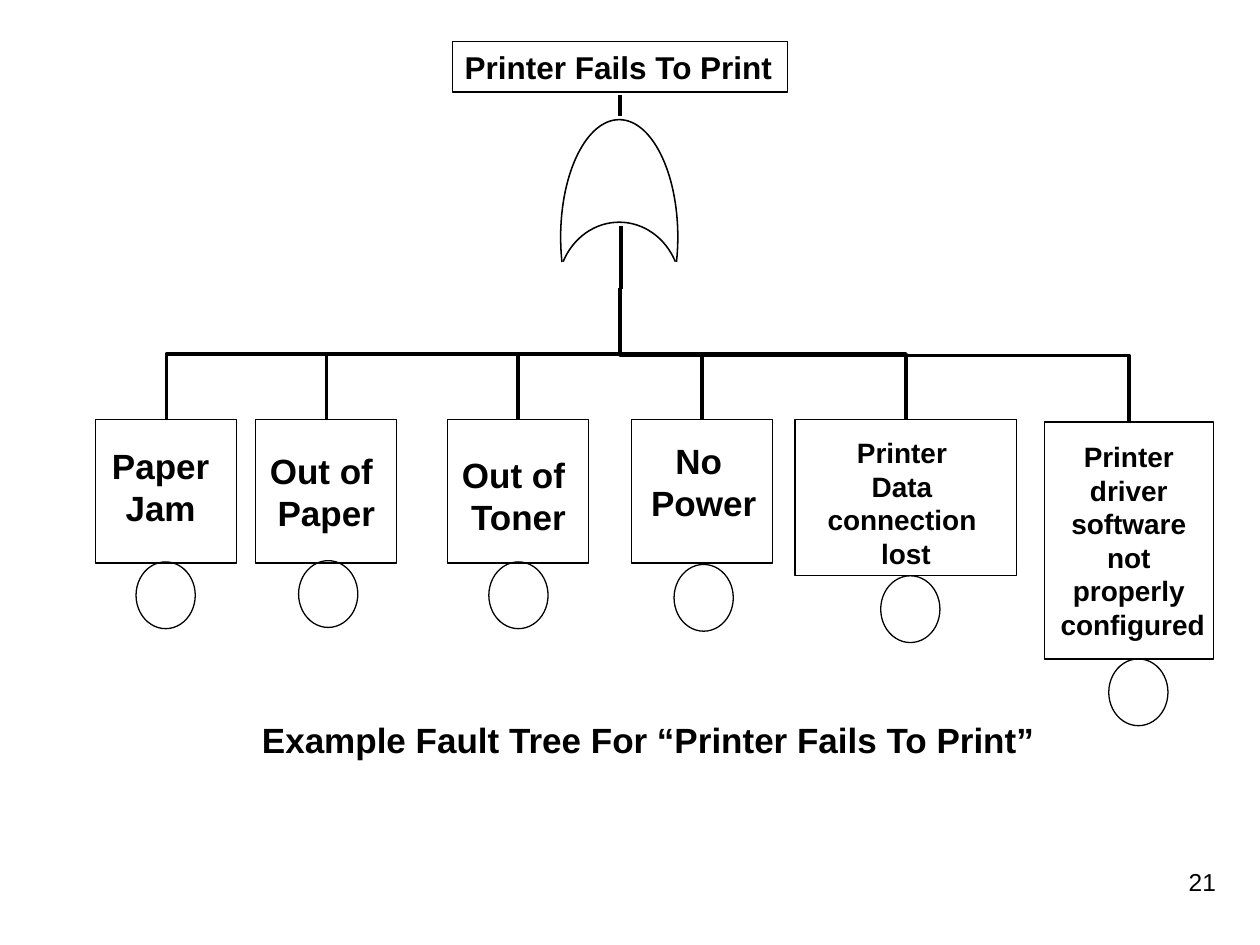
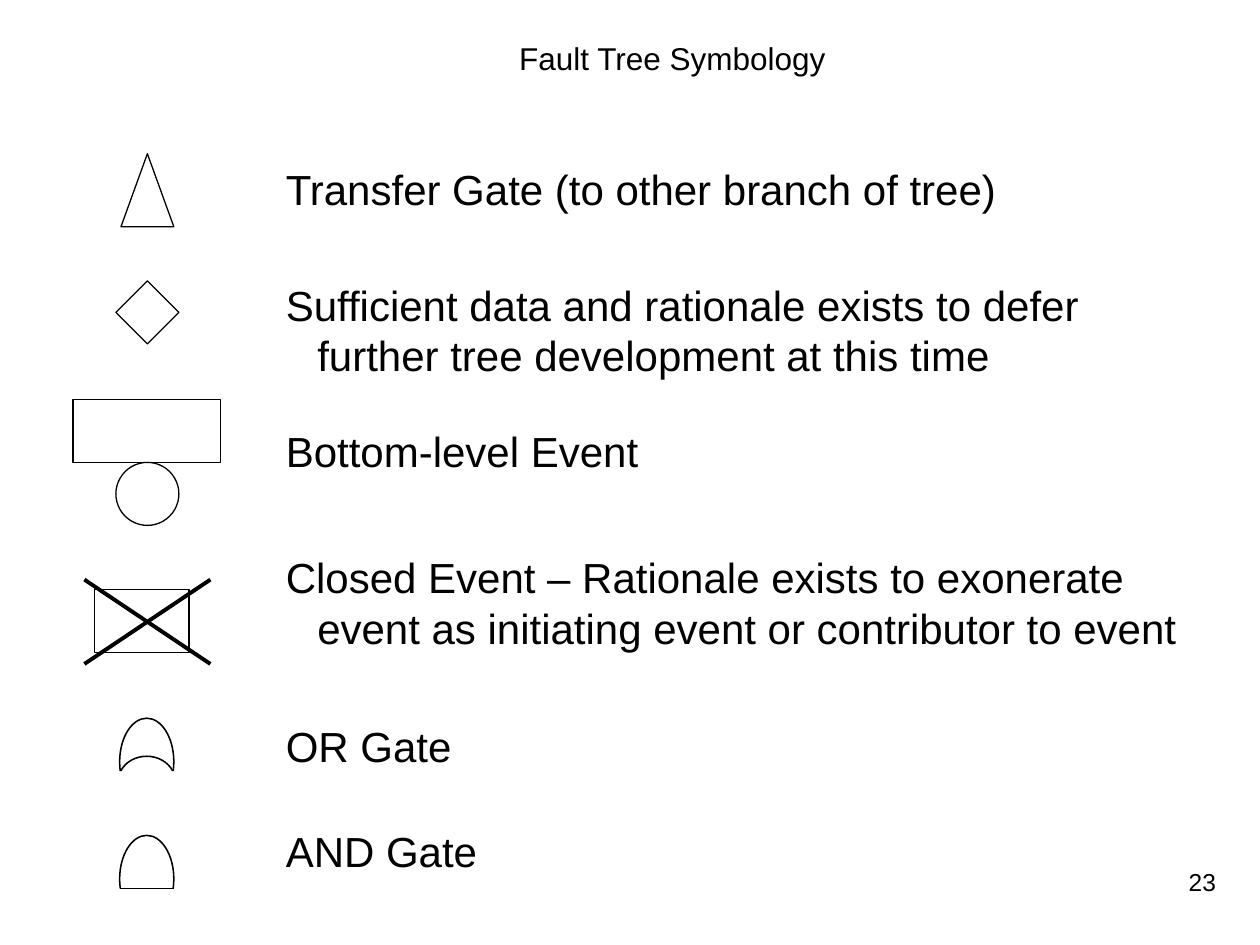
from itertools import pairwise
from math import asin, cos, pi, sin, tan

from lxml import etree
from pptx import Presentation
from pptx.dml.color import RGBColor
from pptx.enum.shapes import MSO_CONNECTOR, MSO_SHAPE
from pptx.enum.text import MSO_ANCHOR, MSO_AUTO_SIZE, PP_ALIGN
from pptx.oxml.ns import qn
from pptx.util import Inches, Pt

RECT, OVAL = MSO_SHAPE.RECTANGLE, MSO_SHAPE.OVAL
DIAMOND, TRIANGLE = MSO_SHAPE.DIAMOND, MSO_SHAPE.ISOSCELES_TRIANGLE
STRAIGHT, ELBOW = MSO_CONNECTOR.STRAIGHT, MSO_CONNECTOR.ELBOW
LEFT, CENTER, RIGHT = PP_ALIGN.LEFT, PP_ALIGN.CENTER, PP_ALIGN.RIGHT
MIDDLE, TOP = MSO_ANCHOR.MIDDLE, MSO_ANCHOR.TOP
GROW, FIXED = MSO_AUTO_SIZE.SHAPE_TO_FIT_TEXT, MSO_AUTO_SIZE.NONE

COLORS = {"ink": "000000", "paper": "FFFFFF"}
FONT = "Arial"
THIN, GATE_LINE, TREE_LINE, CROSS_LINE = 0.75, 0.88, 2, 2.25


# Shared helpers
def color(name):
    return RGBColor.from_string(COLORS[name])


def style_run(r, size, bold=False):
    for key, value in {"name": FONT, "size": Pt(size), "bold": bold}.items():
        setattr(r.font, key, value)
    r.font.color.rgb = color("ink")


def set_text(sp, lines, size, bold=False, align=LEFT, wrap=False,
             anchor=TOP, auto_size=GROW, hanging=0):
    tf = sp.text_frame
    frame = {"word_wrap": wrap, "vertical_anchor": anchor, "auto_size": auto_size}
    for key, value in frame.items():
        setattr(tf, key, value)
    for i, line in enumerate(lines):
        p = tf.add_paragraph() if i else tf.paragraphs[0]
        p.alignment = align
        if hanging:
            pPr = p._p.get_or_add_pPr()
            pPr.set("marL", str(Inches(hanging)))
            pPr.set("indent", str(-Inches(hanging)))
        r = p.add_run()
        r.text = line
        style_run(r, size, bold)


def add_text(s, box, lines, size, **fmt):
    sp = s.shapes.add_textbox(*map(Inches, box))
    set_text(sp, lines, size, **fmt)


def outline(sp, width):
    sp.shadow.inherit = False
    sp.fill.background()
    sp.line.color.rgb = color("ink")
    sp.line.width = Pt(width)


def add_outline(s, kind, box):
    sp = s.shapes.add_shape(kind, *map(Inches, box))
    outline(sp, THIN)
    return sp


def add_line(s, start, end, width, kind=STRAIGHT):
    c = s.shapes.add_connector(kind, *map(Inches, (*start, *end)))
    c.line.color.rgb = color("ink")
    c.line.width = Pt(width)
    etree.SubElement(c._element.spPr, qn("a:effectLst"))
    return c


def add_branch(s, start, end):
    """Elbow that leaves and arrives vertically: a turned bent connector."""
    (x1, y1), (x2, y2) = start, end
    cx, cy = (x1 + x2) / 2, (y1 + y2) / 2
    side = 1 if x1 < x2 else -1
    half_w, half_h = side * (y1 - y2) / 2, abs(x2 - x1) / 2
    c = add_line(s, (cx + half_w, cy + half_h), (cx - half_w, cy - half_h),
                 TREE_LINE, ELBOW)
    c._element.spPr.xfrm.set("rot", str((90 if side > 0 else 270) * 60000))


def add_arc(s, cx, cy, rx, ry, dip):
    """Upper half of an ellipse; its ends lie dip radians below the centre."""
    def at(a, pull=0):
        return (Inches(cx + rx * (cos(a) - pull * sin(a))),
                Inches(cy + ry * (sin(a) + pull * cos(a))))

    sides = [pi, 1.5 * pi, 2 * pi] if dip > 0 else [1.5 * pi]
    angles = [pi - dip, *sides, 2 * pi + dip]
    points = [at(a) for a in angles]
    builder = s.shapes.build_freeform(*points[0])
    builder.add_line_segments(points[1:], close=False)
    sp = builder.convert_to_shape()
    outline(sp, GATE_LINE)
    # Bend each straight segment into a cubic curve
    segments = list(sp._element.iter(qn("a:lnTo")))
    for segment, (a, b) in zip(segments, pairwise(angles)):
        segment.tag = qn("a:cubicBezTo")
        pull = 4 / 3 * tan((b - a) / 4)
        for i, (x, y) in enumerate((at(a, pull), at(b, -pull))):
            pt = etree.Element(qn("a:pt"), x=str(x - sp.left), y=str(y - sp.top))
            segment.insert(i, pt)


def add_gate(s, box, is_or):
    x, y, w, h = box
    cx, arch = x + w / 2, 0.825 * h
    add_arc(s, cx, y + arch, w / 2, arch, asin((h - arch) / arch))
    if is_or:
        add_arc(s, cx, y + 1.19 * h, 0.525 * w, 0.47 * h, -asin(0.41))
    else:
        add_line(s, (x, y + h), (x + w, y + h), THIN)


def new_slide(prs, layout, number):
    s = prs.slides.add_slide(prs.slide_layouts[layout])
    s.background.fill.solid()
    s.background.fill.fore_color.rgb = color("paper")
    add_text(s, (7.42, 6.83, 2.33, 0.52), [number], 14, align=RIGHT,
             wrap=True, auto_size=FIXED)
    return s


# Fault tree: event box, label box (None = inside the event), lines, size, circle
EVENTS = [
    ((0.76, 3.33, 1.12, 1.14), (0.68, 3.48, 1.19, 0.77), ["Paper Jam"], 20, (1.08, 4.46)),
    ((2.03, 3.33, 1.12, 1.14), None, ["Out of ", "Paper"], 20, (2.37, 4.45)),
    ((3.55, 3.33, 1.12, 1.14), (3.56, 3.55, 1.11, 0.77), ["Out of ", "Toner"], 20,
     (3.88, 4.46)),
    ((5.01, 3.33, 1.12, 1.14), (5.06, 3.44, 1.05, 0.77), ["No ", "Power"], 20,
     (5.35, 4.48)),
    ((6.31, 3.33, 1.76, 1.24), (6.46, 3.41, 1.46, 1.17),
     ["Printer ", "Data ", "connection ", "lost"], 16, (6.99, 4.57)),
    ((8.29, 3.35, 1.34, 1.88), (8.31, 3.44, 1.36, 1.7),
     ["Printer ", "driver ", "software ", "not ", "properly ", "configured"], 16,
     (8.8, 5.23)),
]


def add_event(s, box, label_box, lines, size, circle, trunk):
    sp = add_outline(s, RECT, box)
    fmt = {"bold": True, "align": CENTER}
    if label_box:
        add_text(s, label_box, lines, size, wrap=len(lines) == 1, **fmt)
    else:
        set_text(sp, lines, size, anchor=MIDDLE, auto_size=FIXED, **fmt)
    add_outline(s, OVAL, (*circle, 0.47, 0.53))
    x, y, w, _ = box
    add_branch(s, (x + w / 2, y), trunk)


def fault_tree_slide(prs):
    s = new_slide(prs, 6, "21")
    # Top event and its gate
    top = add_outline(s, RECT, (3.59, 0.33, 2.66, 0.4))
    set_text(top, ["Printer Fails To Print"], 18, bold=True)
    add_line(s, (4.92, 0.92), (4.92, 0.75), TREE_LINE)
    add_gate(s, (4.45, 0.95, 0.93, 1.13), True)
    add_line(s, (4.93, 2.29), (4.93, 1.79), TREE_LINE)
    # Causes
    for event in EVENTS:
        add_event(s, *event, trunk=(4.92, 2.29))
    add_text(s, (1.96, 5.65, 6.45, 0.44),
             ["Example Fault Tree For “Printer Fails To Print” "], 20,
             bold=True, align=CENTER)


# Symbol legend: top, width, height, wraps, meaning
MEANINGS = [
    (1.25, 5.87, 0.5, False, "Transfer Gate (to other branch of tree)"),
    (2.17, 7.33, 0.9, True, "Sufficient data and rationale exists to defer "
                            "further tree development at this time"),
    (3.33, 3.02, 0.5, False, "Bottom-level Event"),
    (4.33, 7.5, 0.9, True, "Closed Event – Rationale exists to exonerate "
                           "event as initiating event or contributor to event"),
    (5.67, 1.53, 0.5, False, "OR Gate"),
    (6.5, 1.83, 0.5, False, "AND Gate"),
]
SYMBOLS = [
    (TRIANGLE, (0.96, 1.22, 0.42, 0.58)),
    (DIAMOND, (0.92, 2.23, 0.5, 0.5)),
    (RECT, (0.58, 3.17, 1.17, 0.5)),
    (OVAL, (0.92, 3.67, 0.5, 0.5)),
    (RECT, (0.75, 4.68, 0.75, 0.5)),
]


def add_title(s, box, text, size):
    title = s.shapes.title
    for key, value in zip(("left", "top", "width", "height"), box):
        setattr(title, key, Inches(value))
    set_text(title, [text], size, align=CENTER, wrap=True, anchor=MIDDLE,
             auto_size=FIXED)
    # A taller space sets the height of the title line
    r = title.text_frame.paragraphs[0].add_run()
    r.text = " "
    style_run(r, 28)


def add_cross(s, box):
    x, y, w, h = box
    add_line(s, (x, y), (x + w, y + h), CROSS_LINE)
    add_line(s, (x, y + h), (x + w, y), CROSS_LINE)


def symbology_slide(prs):
    s = new_slide(prs, 5, "23")
    add_title(s, (2.73, 0.17, 5.32, 0.47), "Fault Tree Symbology", 18)
    # Symbols
    for kind, box in SYMBOLS:
        add_outline(s, kind, box)
    add_cross(s, (0.67, 4.6, 1, 0.67))
    add_gate(s, (0.95, 5.7, 0.43, 0.42), True)
    add_gate(s, (0.95, 6.63, 0.43, 0.42), False)
    # Meanings
    for top, width, height, wraps, text in MEANINGS:
        add_text(s, (2.17, top, width, height), [text], 24, wrap=wraps,
                 hanging=0.25 if wraps else 0)


def main():
    prs = Presentation()
    prs.slide_width, prs.slide_height = Inches(10), Inches(7.5)
    fault_tree_slide(prs)
    symbology_slide(prs)
    prs.save("out.pptx")


if __name__ == "__main__":
    main()
